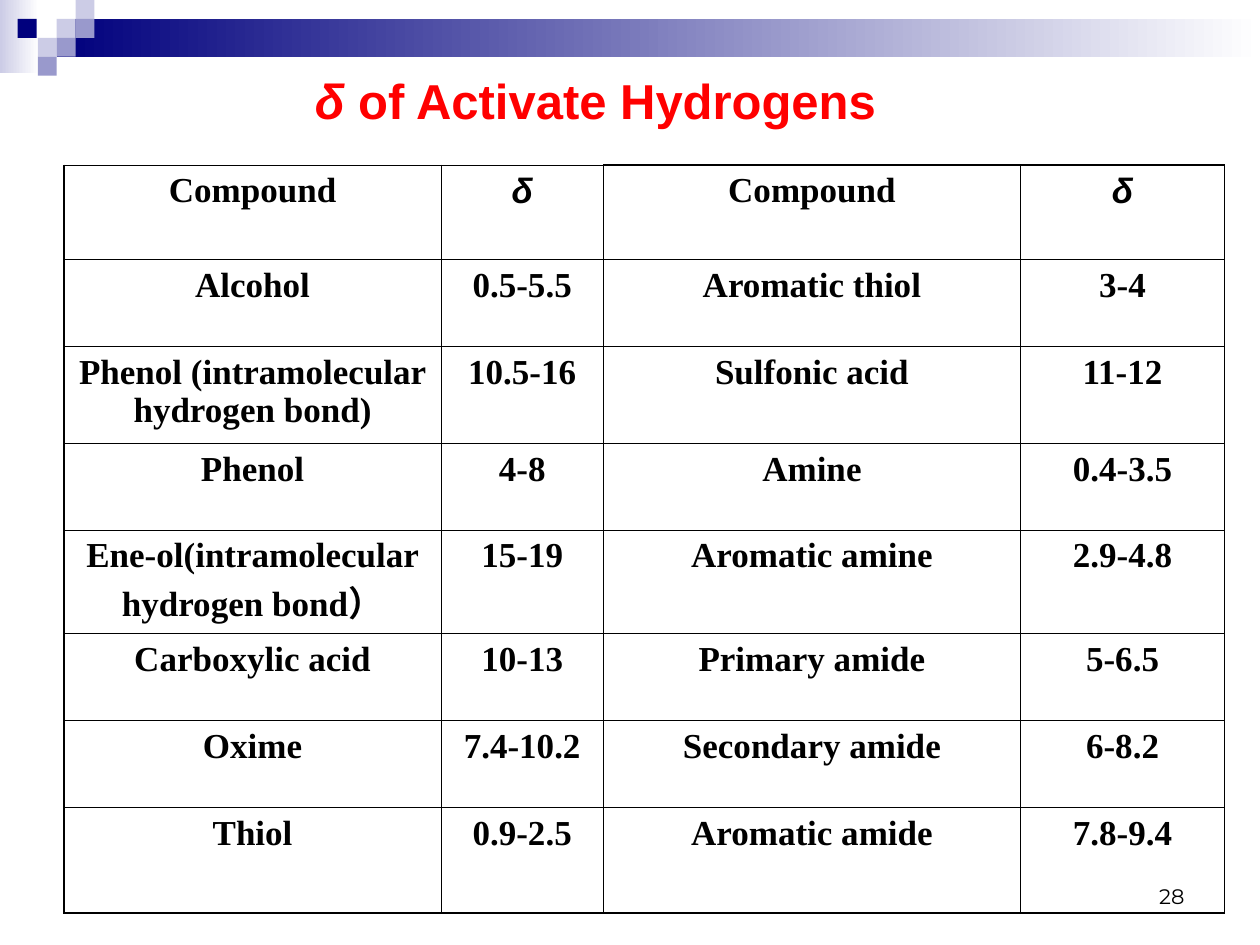
from dataclasses import dataclass

from pptx import Presentation
from pptx.dml.color import RGBColor as Rgb
from pptx.enum.shapes import MSO_SHAPE as Shape
from pptx.enum.text import MSO_ANCHOR as Anchor, PP_ALIGN as Align
from pptx.oxml import parse_xml
from pptx.oxml.ns import nsdecls
from pptx.util import Inches, Pt


@dataclass(frozen=True)
class Theme:
    navy: str = "00007D"
    lilac: str = "CCCCE6"
    violet: str = "9999CC"
    white: str = "FFFFFF"
    black: str = "000000"
    red: str = "FF0000"
    heading_font: str = "Arial"
    table_font: str = "Times New Roman"
    number_font: str = "Montserrat"
    heading_size: float = 28
    table_size: float = 20
    number_size: float = 12
    thin_line: float = 0.45
    thick_line: float = 1.08


class SlideBuilder:
    def __init__(self, slide, theme):
        self.slide = slide
        self.theme = theme

    def rectangle(self, area, *colors):
        box = self.slide.shapes.add_shape(Shape.RECTANGLE, *map(Inches, area))
        box.shadow.inherit = False
        box.line.fill.background()
        if len(colors) == 1:
            box.fill.solid()
            box.fill.fore_color.rgb = Rgb.from_string(colors[0])
        else:
            box.fill.gradient()
            box.fill.gradient_angle = 0
            for stop, color in zip(box.fill.gradient_stops, colors):
                stop.color.rgb = Rgb.from_string(color)

    def span(self, para, text, color, **font_format):
        span = para.add_run()
        span.text = text
        span.font.color.rgb = Rgb.from_string(color)
        for name, value in font_format.items():
            setattr(span.font, name, value)

    def text_box(self, area, anchor, align):
        box = self.slide.shapes.add_textbox(*map(Inches, area))
        frame_format = {"word_wrap": True, "vertical_anchor": anchor}
        for name, value in frame_format.items():
            setattr(box.text_frame, name, value)
        para = box.text_frame.paragraphs[0]
        para.alignment = align
        return para

    def cell_border(self, cell, side, width):
        cell._tc.get_or_add_tcPr().append(parse_xml(
            f'<a:ln{side} {nsdecls("a")} w="{Pt(width)}"><a:solidFill>'
            f'<a:srgbClr val="{self.theme.black}"/></a:solidFill></a:ln{side}>'))

    def table(self, area, widths, heights, rows):
        theme = self.theme
        frame = self.slide.shapes.add_table(len(rows), len(widths), *map(Inches, area))
        table = frame.table
        table.first_row = table.horz_banding = False
        for column, width in zip(table.columns, widths):
            column.width = Inches(width)
        for row, height in zip(table.rows, heights):
            row.height = Inches(height)
        last_row, last_column = len(rows) - 1, len(widths) - 1
        for r, values in enumerate(rows):
            for c, text in enumerate(values):
                cell = table.cell(r, c)
                thick_sides = {
                    "L": c == 0,
                    "R": c == last_column,
                    "T": r == 0 and c >= 2,
                    "B": r == last_row,
                }
                for side, thick in thick_sides.items():
                    self.cell_border(cell, side, theme.thick_line if thick else theme.thin_line)
                cell.fill.background()
                para = cell.text_frame.paragraphs[0]
                para.alignment = Align.CENTER
                symbol = text == "δ"
                self.span(para, text, theme.black, size=Pt(theme.table_size), bold=True,
                          italic=symbol,
                          name=theme.heading_font if symbol else theme.table_font)


def main():
    deck = Presentation()
    deck.slide_width, deck.slide_height = Inches(10), Inches(7.5)
    theme = Theme()
    page = SlideBuilder(deck.slides.add_slide(deck.slide_layouts[6]), theme)

    page.rectangle((0, 0, 0.31, 0.58), theme.lilac, theme.white)
    page.rectangle((0.45, 0.15, 9.55, 0.3), theme.navy, theme.white)
    tile = 0.15
    tiles = [
        (0.45, 0.15, theme.lilac),
        (0.6, 0, theme.lilac),
        (0.6, 0.15, theme.violet),
        (0.3, 0.3, theme.lilac),
        (0.14, 0.15, theme.navy),
        (0.45, 0.3, theme.violet),
        (0.3, 0.45, theme.violet),
    ]
    for left, top, color in tiles:
        page.rectangle((left, top, tile, tile), color)

    number = page.text_box((7.17, 6.76, 2.33, 0.5), Anchor.BOTTOM, Align.RIGHT)
    page.span(number, "28", theme.black, size=Pt(theme.number_size), name=theme.number_font)

    title = page.text_box((2.4, 0.52, 8.5, 0.55), Anchor.MIDDLE, Align.LEFT)
    for text, italic in (("δ ", True), ("of Activate Hydrogens", False)):
        page.span(title, text, theme.red, size=Pt(theme.heading_size),
                  name=theme.heading_font, bold=True, italic=italic)

    page.table(
        (0.51, 1.31, 9.21, 5.94),
        (2.99, 1.29, 3.31, 1.62),
        (0.75, 0.69, 0.77, 0.69, 0.82, 0.69, 0.69, 0.84),
        [
            ("Compound", "δ", "Compound", "δ"),
            ("Alcohol", "0.5-5.5", "Aromatic thiol", "3-4"),
            ("Phenol (intramolecular hydrogen bond)", "10.5-16", "Sulfonic acid", "11-12"),
            ("Phenol", "4-8", "Amine", "0.4-3.5"),
            ("Ene-ol(intramolecular hydrogen bond）", "15-19", "Aromatic amine", "2.9-4.8"),
            ("Carboxylic acid", "10-13", "Primary amide", "5-6.5"),
            ("Oxime", "7.4-10.2", "Secondary amide", "6-8.2"),
            ("Thiol", "0.9-2.5", "Aromatic amide", "7.8-9.4"),
        ],
    )
    deck.save("out.pptx")


if __name__ == "__main__":
    main()
